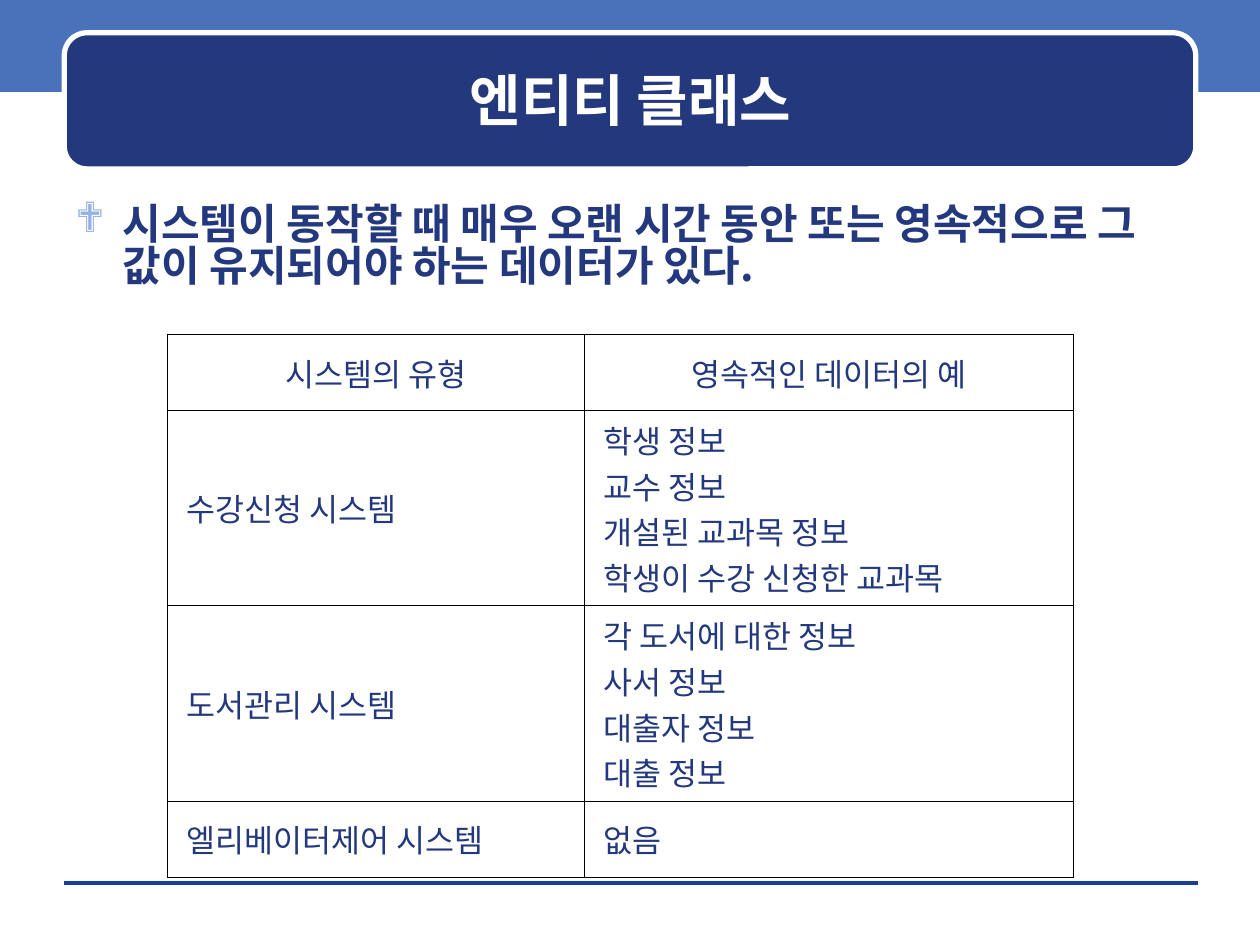
from typing import NamedTuple

from lxml import etree
from pptx import Presentation
from pptx.dml.color import RGBColor
from pptx.enum.shapes import MSO_CONNECTOR, MSO_SHAPE
from pptx.enum.text import MSO_ANCHOR, PP_ALIGN
from pptx.oxml.ns import qn
from pptx.util import Pt

CENTER, JUSTIFY, LEFT = PP_ALIGN.CENTER, PP_ALIGN.JUSTIFY, PP_ALIGN.LEFT
MIDDLE, TOP = MSO_ANCHOR.MIDDLE, MSO_ANCHOR.TOP
RECTANGLE, ROUNDED = MSO_SHAPE.RECTANGLE, MSO_SHAPE.ROUNDED_RECTANGLE

COLORS = {"band": "4972BB", "navy": "23387D", "white": "FFFFFF",
          "bullet": "96B1E6", "rule": "1A3D97", "border": "000000"}
FONT = "Noto Sans CJK KR"


class Area(NamedTuple):
    left: float
    top: float
    width: float
    height: float

    def lengths(self) -> list:
        return [Pt(value) for value in self]


class Style(NamedTuple):
    size: float
    color: str
    bold: bool
    align: PP_ALIGN


TITLE = Style(32, "white", True, CENTER)
BODY = Style(24, "navy", True, LEFT)
HEADER = Style(18, "navy", False, CENTER)
CELL = Style(18, "navy", False, JUSTIFY)

COLUMN_WIDTHS = [238.3, 279.4]
ROW_HEIGHTS = [43.4, 111.6, 111.6, 43.4]
ROWS = [
    (["시스템의 유형"], ["영속적인 데이터의 예"]),
    (["수강신청 시스템"],
     ["학생 정보", "교수 정보", "개설된 교과목 정보", "학생이 수강 신청한 교과목"]),
    (["도서관리 시스템"],
     ["각 도서에 대한 정보", "사서 정보", "대출자 정보", "대출 정보"]),
    (["엘리베이터제어 시스템"], ["없음"]),
]


def rgb(name: str) -> RGBColor:
    return RGBColor.from_string(COLORS[name])


def set_attributes(target, values: dict) -> None:
    for name, value in values.items():
        setattr(target, name, value)


def add_span(para, text: str, style: Style) -> None:
    """Add a styled run, naming the font for Latin and East Asian text."""
    para.alignment = style.align
    span = para.add_run()
    span.text = text
    set_attributes(span.font, {"name": FONT, "size": Pt(style.size), "bold": style.bold})
    span.font.color.rgb = rgb(style.color)
    latin = span.font._element.find(qn("a:latin"))
    east_asian = etree.Element(qn("a:ea"), typeface=FONT)
    latin.addnext(east_asian)


def add_panel(page, kind, area: Area, fill: str):
    panel = page.shapes.add_shape(kind, *area.lengths())
    panel.shadow.inherit = False
    panel.fill.solid()
    panel.fill.fore_color.rgb = rgb(fill)
    panel.line.fill.background()
    return panel


def add_text(page, area: Area, text: str, style: Style, anchor):
    box = page.shapes.add_textbox(*area.lengths())
    set_attributes(box.text_frame, {"word_wrap": True, "vertical_anchor": anchor})
    para = box.text_frame.paragraphs[0]
    add_span(para, text, style)
    return para


def add_bullet(para, symbol: str, indent: float) -> None:
    properties = para._p.get_or_add_pPr()
    properties.set("marL", str(Pt(indent)))
    properties.set("indent", str(-Pt(indent)))
    color = etree.SubElement(properties, qn("a:buClr"))
    etree.SubElement(color, qn("a:srgbClr"), val=COLORS["bullet"])
    etree.SubElement(properties, qn("a:buFont"), typeface="Wingdings")
    etree.SubElement(properties, qn("a:buChar"), char=symbol)


def add_rule(page, left: float, right: float, top: float) -> None:
    rule = page.shapes.add_connector(
        MSO_CONNECTOR.STRAIGHT, Pt(left), Pt(top), Pt(right), Pt(top))
    rule.line.color.rgb = rgb("rule")
    rule.line.width = Pt(0)
    etree.SubElement(rule._element.spPr, qn("a:effectLst"))


def border_cell(cell, width: float) -> None:
    properties = cell._tc.get_or_add_tcPr()
    for position, side in enumerate(("lnL", "lnR", "lnT", "lnB")):
        line = etree.Element(qn(f"a:{side}"), w=str(Pt(width)))
        fill = etree.SubElement(line, qn("a:solidFill"))
        etree.SubElement(fill, qn("a:srgbClr"), val=COLORS["border"])
        properties.insert(position, line)


def fill_cell(cell, lines: list[str], style: Style) -> None:
    set_attributes(cell, {
        "vertical_anchor": MIDDLE,
        "margin_left": Pt(10.8), "margin_right": Pt(10.8),
        "margin_top": Pt(3.6), "margin_bottom": Pt(3.6)})
    cell.fill.background()
    border_cell(cell, 0.45)
    frame = cell.text_frame
    for index, text in enumerate(lines):
        para = frame.add_paragraph() if index else frame.paragraphs[0]
        add_span(para, text, style)


def add_data_table(page, left: float, top: float) -> None:
    area = Area(left, top, sum(COLUMN_WIDTHS), sum(ROW_HEIGHTS))
    table = page.shapes.add_table(
        len(ROWS), len(COLUMN_WIDTHS), *area.lengths()).table
    set_attributes(table, {"first_row": False, "horz_banding": False})
    for column, width in zip(table.columns, COLUMN_WIDTHS):
        column.width = Pt(width)
    for row_index, (row, height) in enumerate(zip(table.rows, ROW_HEIGHTS)):
        row.height = Pt(height)
        for cell, lines in zip(row.cells, ROWS[row_index]):
            fill_cell(cell, lines, CELL if row_index else HEADER)


def main() -> None:
    deck = Presentation()
    set_attributes(deck, {"slide_width": Pt(720), "slide_height": Pt(540)})
    page = deck.slides.add_slide(deck.slide_layouts[6])

    add_panel(page, RECTANGLE, Area(0, -2.2, 720, 54.7), "band")
    add_rule(page, 36.7, 684.7, 504.7)
    banner = add_panel(page, ROUNDED, Area(36.7, 18.7, 646.6, 77.8), "navy")
    banner.adjustments[0] = 0.167
    banner.line.color.rgb = rgb("white")
    banner.line.width = Pt(3)

    add_text(page, Area(43.2, 25.2, 634.3, 63.4), "엔티티 클래스", TITLE, MIDDLE)
    statement = add_text(
        page, Area(36, 113.8, 648, 383.8),
        "시스템이 동작할 때 매우 오랜 시간 동안 또는 영속적으로 그 값이 유지되어야 하는 데이터가 있다.",
        BODY, TOP)
    statement.line_spacing = 0.84
    add_bullet(statement, "❖", 27)
    add_data_table(page, 95.6, 191.2)

    deck.save("out.pptx")


if __name__ == "__main__":
    main()
